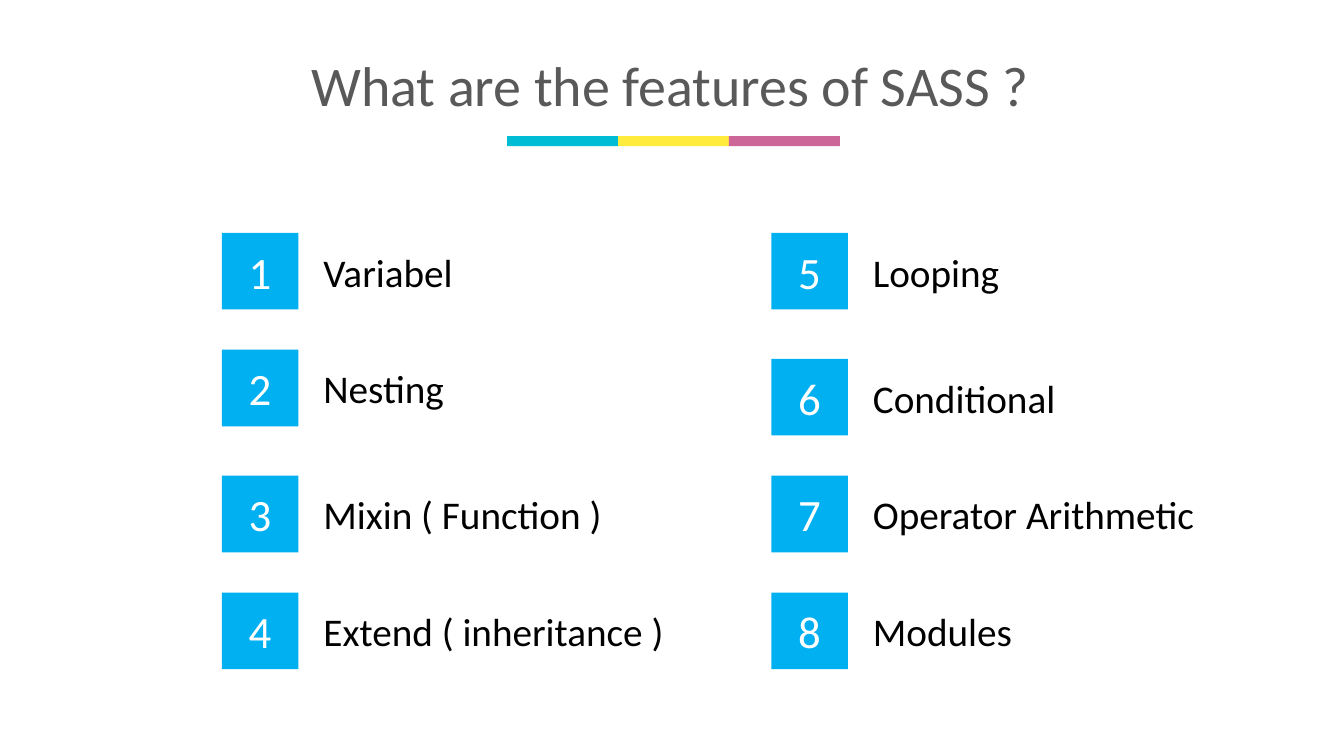
"""Build the slide that lists the eight features of SASS."""
from dataclasses import dataclass

from pptx import Presentation
from pptx import util as u
from pptx.dml.color import RGBColor
from pptx.enum import shapes, text


@dataclass(frozen=True)
class Theme:
    font: str = "Calibri"
    title: str = "595959"
    body: str = "000000"
    number: str = "FFFFFF"
    badge: str = "00B0F0"
    stripes: tuple = ("00BCD4", "FFEB3B", "CC6699")
    title_size: int = 40
    number_size: int = 32
    body_size: int = 28


class Deck:
    def __init__(self, slide, theme):
        self.s = slide
        self.theme = theme

    def style(self, tf, content, size, color):
        tf.text = content
        font = tf.paragraphs[0].runs[0].font
        font.name = self.theme.font
        font.size = u.Pt(size)
        font.color.rgb = RGBColor.from_string(color)

    def label(self, parent, content, box, size, color, anchor=text.MSO_ANCHOR.TOP):
        sp = parent.shapes.add_textbox(*map(u.Inches, box))
        tf = sp.text_frame
        tf.word_wrap = False
        tf.auto_size = text.MSO_AUTO_SIZE.SHAPE_TO_FIT_TEXT
        tf.vertical_anchor = anchor
        self.style(tf, content, size, color)

    def rect(self, parent, box, color):
        sp = parent.shapes.add_shape(shapes.MSO_SHAPE.RECTANGLE, *map(u.Inches, box))
        sp.shadow.inherit = False
        sp.fill.solid()
        sp.fill.fore_color.rgb = RGBColor.from_string(color)
        sp.line.fill.background()
        return sp

    def title(self, content, box):
        self.label(self.s, content, box, self.theme.title_size, self.theme.title,
                   text.MSO_ANCHOR.MIDDLE)

    def stripes(self, left, top, width, height):
        for i, color in enumerate(self.theme.stripes):
            self.rect(self.s, (left + i * width, top, width, height), color)

    def feature(self, number, content, left, top, width):
        group = self.s.shapes.add_group_shape()
        tf = self.rect(group, (left, top, 0.76, 0.76), self.theme.badge).text_frame
        tf.vertical_anchor = text.MSO_ANCHOR.MIDDLE
        self.style(tf, str(number), self.theme.number_size, self.theme.number)
        tf.paragraphs[0].alignment = text.PP_ALIGN.CENTER
        self.label(group, content, (left + 0.91, top + 0.1, width, 0.57),
                   self.theme.body_size, self.theme.body)


COLUMNS = [
    (2.2, [("Variabel", 2.31, 1.49), ("Nesting", 3.47, 1.41),
           ("Mixin ( Function )", 4.72, 3.0), ("Extend ( inheritance )", 5.88, 3.61)]),
    (7.65, [("Looping", 2.31, 1.47), ("Conditional", 3.56, 2.03),
            ("Operator Arithmetic", 4.72, 3.4), ("Modules", 5.88, 1.6)]),
]

prs = Presentation()
prs.slide_width, prs.slide_height = u.Inches(13.33), u.Inches(7.5)
deck = Deck(prs.slides.add_slide(prs.slide_layouts[6]), Theme())

deck.title("What are the features of SASS ?", (2.99, 0.45, 7.39, 0.77))
deck.stripes(5.03, 1.35, 1.1, 0.1)
number = 0
for left, features in COLUMNS:
    for number, (name, top, width) in enumerate(features, number + 1):
        deck.feature(number, name, left, top, width)

prs.save("out.pptx")
